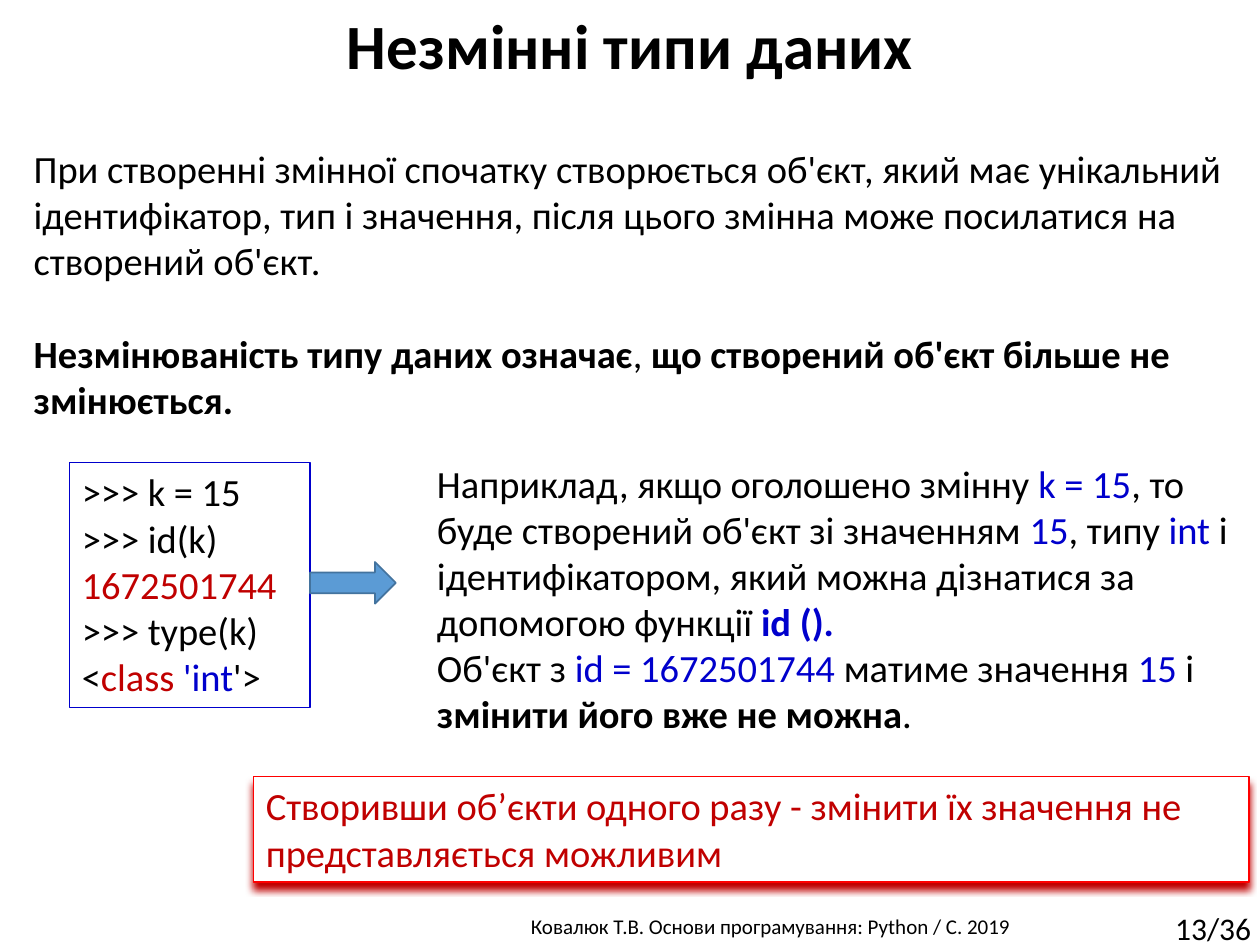
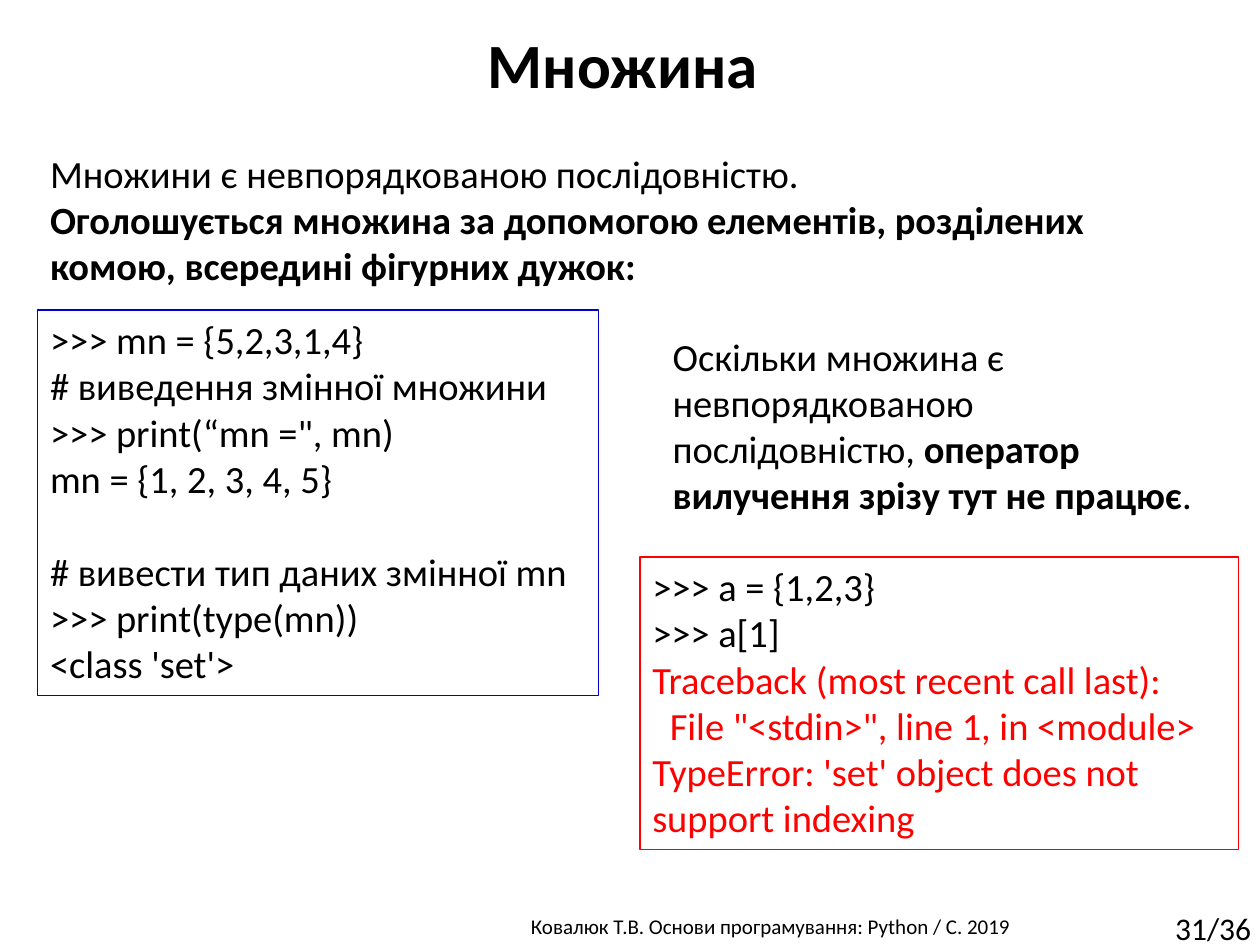
from dataclasses import dataclass

from lxml.etree import SubElement
from pptx import Presentation
from pptx.dml.color import RGBColor
from pptx.enum.shapes import MSO_SHAPE as Preset
from pptx.enum.text import MSO_ANCHOR as Anchor, MSO_AUTO_SIZE as AutoSize, PP_ALIGN as Align
from pptx.oxml.ns import qn
from pptx.util import Cm, Pt

BLACK = RGBColor(0x00, 0x00, 0x00)
WHITE = RGBColor(0xFF, 0xFF, 0xFF)
BLUE = RGBColor(0x00, 0x00, 0xCC)
RED = RGBColor(0xFF, 0x00, 0x00)
DARK_RED = RGBColor(0xC0, 0x00, 0x00)
ARROW_FILL = RGBColor(0x5B, 0x9B, 0xD5)
ARROW_LINE = RGBColor(0x43, 0x73, 0x9E)

FONT = "Calibri"
BODY_SIZE = 22
LINE_GAP = 26.8  # one line of body text, in points
SLIDE_WIDTH, SLIDE_HEIGHT = 25.4, 19.05
PAGE_COUNT = 36
FOOTER = "Ковалюк Т.В. Основи програмування: Python / C. 2019 "


@dataclass
class Run:
    text: str
    color: RGBColor = None
    bold: bool = None


@dataclass
class Para:
    """A paragraph of strings and Runs; gap and indent are in points."""
    runs: list
    gap: float = 0
    indent: float = 0


def blue(text, bold=None):
    return Run(text, BLUE, bold)


def bold(text):
    return Run(text, bold=True)


def write(shape, paragraphs, size=BODY_SIZE, color=BLACK, bold=False,
          align=Align.LEFT, wrap=True):
    """Fill a shape with strings or Paras; a Run overrides colour and weight."""
    frame = shape.text_frame
    frame.word_wrap = wrap
    frame.auto_size = AutoSize.SHAPE_TO_FIT_TEXT
    frame.vertical_anchor = Anchor.TOP
    for index, item in enumerate(paragraphs):
        para = item if isinstance(item, Para) else Para([item])
        paragraph = frame.add_paragraph() if index else frame.paragraphs[0]
        paragraph.alignment = align
        if para.gap:
            paragraph.space_before = Pt(para.gap)
        if para.indent:
            paragraph._p.get_or_add_pPr().set("marL", str(Pt(para.indent)))
        for part in para.runs:
            part = part if isinstance(part, Run) else Run(part)
            run = paragraph.add_run()
            run.text = part.text
            run.font.name = FONT
            run.font.size = Pt(size)
            run.font.bold = bold if part.bold is None else part.bold
            run.font.color.rgb = part.color or color


def add_text(slide, box, paragraphs, **text_format):
    area = slide.shapes.add_textbox(*map(Cm, box))
    write(area, paragraphs, **text_format)


def add_preset(slide, preset, box, line, fill=None, line_width=0.75):
    shape = slide.shapes.add_shape(preset, *map(Cm, box))
    shape.shadow.inherit = False
    if fill is None:
        shape.fill.background()
    else:
        shape.fill.solid()
        shape.fill.fore_color.rgb = fill
    shape.line.color.rgb = line
    shape.line.width = Pt(line_width)
    return shape


def add_frame(slide, box, paragraphs, line, fill=None, **text_format):
    """Add a bordered rectangle with text."""
    frame = add_preset(slide, Preset.RECTANGLE, box, line, fill)
    write(frame, paragraphs, **text_format)
    return frame


def drop_shadow(shape, color, distance=4):
    effects = shape.element.spPr.find(qn("a:effectLst"))
    shadow = SubElement(effects, qn("a:outerShdw"), blurRad=str(Pt(distance)),
                        dist=str(Pt(distance)), dir="5400000", rotWithShape="0")
    SubElement(shadow, qn("a:srgbClr"), val=str(color))


def add_slide(deck, title, page, title_top=0):
    """Add a blank slide with the shared footer, page number and title."""
    slide = deck.slides.add_slide(deck.slide_layouts[6])
    add_text(slide, (8.36, 18.29, 14.45, 0.76), [FOOTER], size=12, align=Align.CENTER)
    add_text(slide, (23.44, 18.21, 2.16, 1.02), [f"{page}/{PAGE_COUNT}"], size=18, wrap=False)
    add_text(slide, (0, title_top, SLIDE_WIDTH, 1.8), [title],
             size=36, bold=True, align=Align.CENTER)
    return slide


def build_immutable_types(deck):
    slide = add_slide(deck, "Незмінні типи даних", 13)
    add_text(slide, (0.43, 2.79, 24.97, 5.89), [
        "При створенні змінної спочатку створюється об'єкт, який має унікальний "
        "ідентифікатор, тип і значення, після цього змінна може посилатися на "
        "створений об'єкт.",
        Para([bold("Незмінюваність типу даних означає"), ", ",
              bold("що створений об'єкт більше не змінюється.")], gap=LINE_GAP),
    ])
    add_text(slide, (8.56, 9.14, 16.84, 5.89), [
        Para(["Наприклад, якщо оголошено змінну ", blue("k = 15"),
              ", то буде створений об'єкт зі значенням ", blue("15"),
              ", типу ", blue("int "),
              "і ідентифікатором, який можна дізнатися за допомогою функції ",
              blue("id ().", bold=True)]),
        Para(["Об'єкт з ", blue("id = 1672501744 "), "матиме значення ", blue("15"),
              " і ", bold("змінити його вже не можна"), "."]),
    ])
    add_frame(slide, (1.4, 9.32, 4.85, 4.95), [
        ">>> k = 15",
        ">>> id(k)",
        Run("1672501744", DARK_RED),
        ">>> type(k)",
        Para(["<", Run("class ", DARK_RED), blue("'int"), "'>"]),
    ], BLUE)
    add_preset(slide, Preset.RIGHT_ARROW, (6.25, 11.33, 1.73, 0.84),
               ARROW_LINE, ARROW_FILL, line_width=1)
    conclusion = add_frame(slide, (5.11, 15.65, 20.07, 2.13), [
        "Створивши об’єкти одного разу - змінити їх значення не представляється можливим",
    ], RED, WHITE, color=DARK_RED)
    drop_shadow(conclusion, DARK_RED)


def build_set(deck):
    slide = add_slide(deck, "Множина ", 31, title_top=0.38)
    add_text(slide, (0.76, 2.9, 23.83, 3.07), [
        "Множини є невпорядкованою послідовністю.",
        bold("Оголошується множина за допомогою елементів, розділених комою, "
             "всередині фігурних дужок:"),
    ])
    add_frame(slide, (0.76, 6.25, 11.3, 7.77), [
        ">>> mn = {5,2,3,1,4}",
        "# виведення змінної множини",
        '>>> print(“mn =", mn)',
        "mn = {1, 2, 3, 4, 5}",
        Para(["# вивести тип даних змінної mn"], gap=LINE_GAP),
        ">>> print(type(mn))",
        "<class 'set'>",
    ], BLUE)
    add_text(slide, (13.31, 6.58, 11.28, 4.01), [
        Para(["Оскільки множина є невпорядкованою послідовністю, ",
              bold("оператор вилучення зрізу тут не працює"), "."]),
    ])
    add_frame(slide, (12.9, 11.23, 12.07, 5.89), [
        ">>> a = {1,2,3}",
        ">>> a[1]",
        Run("Traceback (most recent call last):", RED),
        Para([Run('File "<stdin>", line 1, in <module>', RED)], indent=10),
        Run("TypeError: 'set' object does not support indexing", RED),
    ], RED)


def main():
    deck = Presentation()
    deck.slide_width, deck.slide_height = Cm(SLIDE_WIDTH), Cm(SLIDE_HEIGHT)
    build_immutable_types(deck)
    build_set(deck)
    deck.save("out.pptx")


if __name__ == "__main__":
    main()
